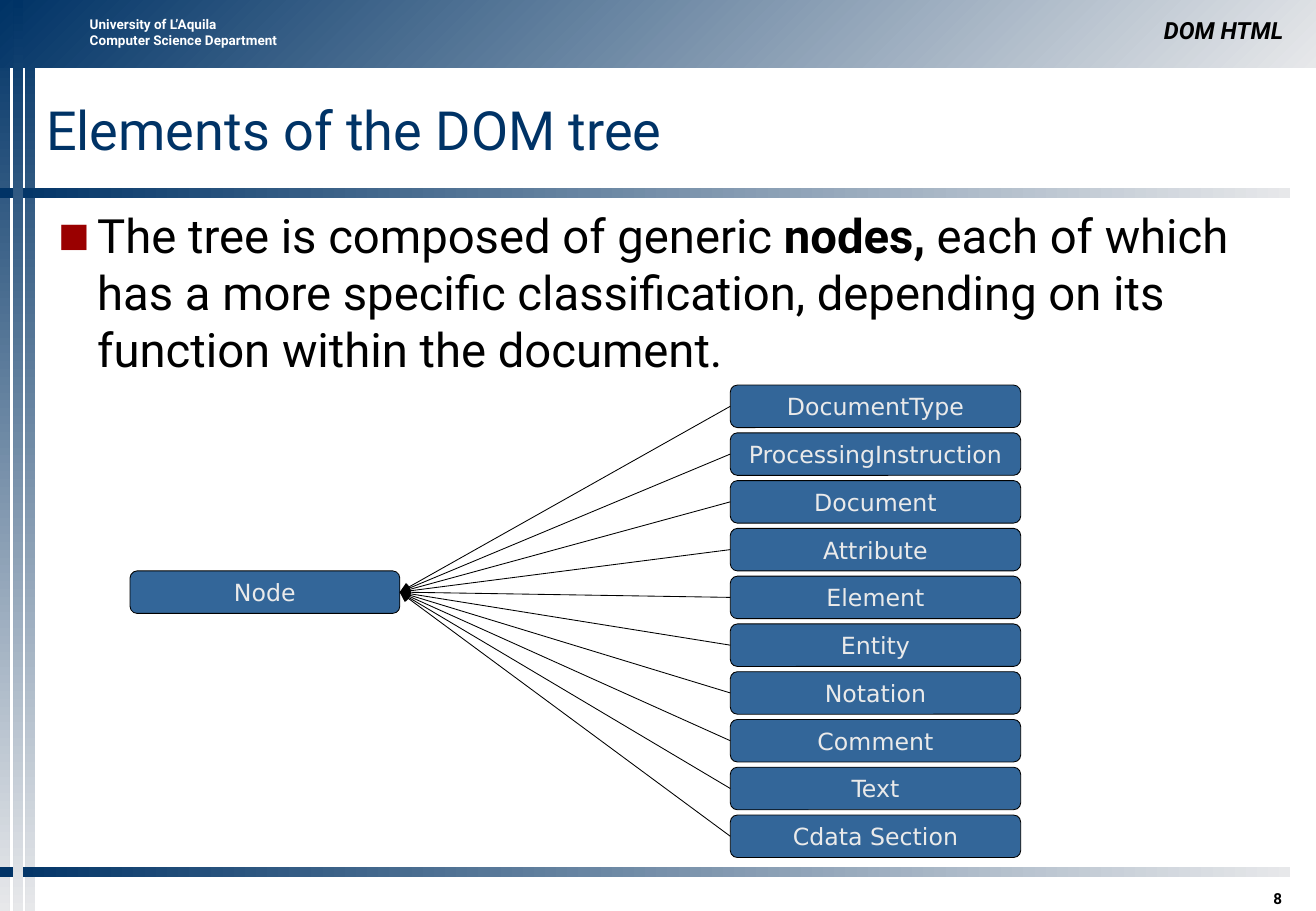
from lxml.etree import SubElement
from pptx import Presentation
from pptx.dml.color import RGBColor
from pptx.enum.shapes import MSO_CONNECTOR, MSO_SHAPE
from pptx.enum.text import MSO_ANCHOR, MSO_AUTO_SIZE, PP_ALIGN
from pptx.oxml.ns import qn
from pptx.util import Inches, Pt

COLORS = {
    "navy": "003366",
    "mist": "E7E8EA",
    "node": "336699",
    "node_text": "EAEAEA",
    "bullet": "9A0000",
    "black": "000000",
    "white": "FFFFFF",
}
TOP, LEFT, RIGHT = 0, 1, 3
NODE_TYPES = ["DocumentType", "ProcessingInstruction", "Document", "Attribute", "Element",
              "Entity", "Notation", "Comment", "Text", "Cdata Section"]


def color(name):
    return RGBColor.from_string(COLORS[name])


class SlideBuilder:
    body_font = "Roboto"
    diagram_font = "DejaVu Sans"
    line_width = Pt(0.5)

    def __init__(self, slide):
        self.slide = slide
        self.shapes = slide.shapes

    def format_runs(self, paragraph, size, color_name, font=None, bold=False, italic=False):
        for run in paragraph.runs:
            run.font.name = font or self.body_font
            run.font.size = Pt(size)
            run.font.color.rgb = color(color_name)
            run.font.bold = bold
            run.font.italic = italic

    def set_frame(self, text_frame, anchor, wrap=True, margins=(0.1, 0.05, 0.1, 0.05)):
        """Margins are left, top, right and bottom, in inches."""
        text_frame.auto_size = MSO_AUTO_SIZE.NONE
        text_frame.word_wrap = wrap
        text_frame.vertical_anchor = anchor
        (text_frame.margin_left, text_frame.margin_top,
         text_frame.margin_right, text_frame.margin_bottom) = map(Inches, margins)

    def place(self, shape, left, top, width, height):
        shape.left, shape.top = Inches(left), Inches(top)
        shape.width, shape.height = Inches(width), Inches(height)

    def gradient_bar(self, left, top, width, height, angle):
        bar = self.shapes.add_shape(
            MSO_SHAPE.RECTANGLE, Inches(left), Inches(top), Inches(width), Inches(height))
        bar.shadow.inherit = False
        bar.line.fill.background()
        bar.fill.gradient()
        bar.fill.gradient_angle = angle
        for stop, name, position in zip(bar.fill.gradient_stops, ("navy", "mist"), (0, 1)):
            stop.color.rgb = color(name)
            stop.position = position

    def label(self, text, box, size, color_name, align, anchor, italic=False, **frame):
        text_box = self.shapes.add_textbox(*map(Inches, box))
        self.set_frame(text_box.text_frame, anchor, **frame)
        text_box.text_frame.text = text
        paragraph = text_box.text_frame.paragraphs[0]
        paragraph.alignment = align
        self.format_runs(paragraph, size, color_name, bold=True, italic=italic)

    def title(self, text):
        title = self.shapes.title
        self.place(title, 0.38, 0.58, 10.27, 0.96)
        self.set_frame(title.text_frame, MSO_ANCHOR.MIDDLE, margins=(0, 0, 0, 0))
        title.text_frame.text = text
        paragraph = title.text_frame.paragraphs[0]
        paragraph.alignment = PP_ALIGN.LEFT
        self.format_runs(paragraph, 32, "navy")

    def bullet_text(self, pieces):
        """Fill the body with one bullet made of (text, bold) pieces."""
        body = self.slide.placeholders[1]
        self.place(body, 0.38, 1.7, 10.24, 5.42)
        self.set_frame(body.text_frame, MSO_ANCHOR.TOP, margins=(0.1, 0, 0.1, 0))
        paragraph = body.text_frame.paragraphs[0]
        for text, _ in pieces:
            paragraph.add_run().text = text
        self.format_runs(paragraph, 28, "black")
        for run, (_, bold) in zip(paragraph.runs, pieces):
            run.font.bold = bold
        paragraph.space_before = Pt(4)
        properties = paragraph._p.get_or_add_pPr()
        properties.set("marL", str(Inches(0.32)))
        properties.set("indent", str(-Inches(0.32)))
        bullet_color = SubElement(properties, qn("a:buClr"))
        SubElement(bullet_color, qn("a:srgbClr"), val=COLORS["bullet"])
        SubElement(properties, qn("a:buSzPct"), val="70000")
        SubElement(properties, qn("a:buFont"), typeface=self.body_font)
        SubElement(properties, qn("a:buChar"), char="■")

    def node(self, text, left, top, width):
        node = self.shapes.add_shape(
            MSO_SHAPE.FLOWCHART_ALTERNATE_PROCESS,
            Inches(left), Inches(top), Inches(width), Inches(0.35))
        node.shadow.inherit = False
        node.fill.solid()
        node.fill.fore_color.rgb = color("node")
        node.line.color.rgb = color("black")
        node.line.width = self.line_width
        self.set_frame(node.text_frame, MSO_ANCHOR.MIDDLE, wrap=False)
        node.text_frame.text = text
        paragraph = node.text_frame.paragraphs[0]
        paragraph.alignment = PP_ALIGN.CENTER
        self.format_runs(paragraph, 14, "node_text", font=self.diagram_font)
        return node

    def arrow(self, child, parent):
        arrow = self.shapes.add_connector(MSO_CONNECTOR.STRAIGHT, 0, 0, 0, 0)
        arrow.begin_connect(child, LEFT)
        arrow.end_connect(parent, RIGHT)
        arrow.line.color.rgb = color("black")
        arrow.line.width = self.line_width
        properties = arrow.element.spPr
        SubElement(properties.find(qn("a:ln")), qn("a:tailEnd"), type="triangle")
        SubElement(properties, qn("a:effectLst"))


def main():
    presentation = Presentation()
    presentation.slide_width = Inches(10.83)
    presentation.slide_height = Inches(7.5)
    slide = presentation.slides.add_slide(presentation.slide_layouts[1])
    builder = SlideBuilder(slide)

    for bar in [
        (0, 0, 0.08, 7.5, 270),
        (0.21, 0, 0.08, 7.5, 270),
        (0, 0, 10.83, 0.56, 315),
        (0, 1.55, 10.62, 0.08, 0),
        (0, 7.14, 10.62, 0.08, 0),
        (0.11, 0, 0.08, 7.5, 270),
    ]:
        builder.gradient_bar(*bar)

    builder.label("University of L’Aquila\vComputer Science Department", (0.64, 0.08, 2.01, 0.37),
                  8, "white", PP_ALIGN.LEFT, MSO_ANCHOR.TOP)
    builder.label("8", (9.47, 7.22, 1.18, 0.25), 9, "black", PP_ALIGN.RIGHT,
                  MSO_ANCHOR.BOTTOM, margins=(0.1, 0.05, 0.1, 0))
    builder.label("DOM HTML", (5.42, 0.08, 5.24, 0.33), 14, "black", PP_ALIGN.RIGHT,
                  MSO_ANCHOR.BOTTOM, italic=True)

    builder.title("Elements of the DOM tree")
    builder.bullet_text([
        ("The tree is composed of generic ", False),
        ("nodes,", True),
        (" each of which has a more specific classification, depending on its function "
         "within the document.", False),
    ])

    root = builder.node("Node", 1.07, 4.7, 2.22)
    first_top, last_top = 3.17, 6.71
    pitch = (last_top - first_top) / (len(NODE_TYPES) - 1)
    children = [builder.node(name, 6.01, first_top + row * pitch, 2.39)
                for row, name in enumerate(NODE_TYPES)]
    for child in children:
        builder.arrow(child, root)

    presentation.save("out.pptx")


if __name__ == "__main__":
    main()
